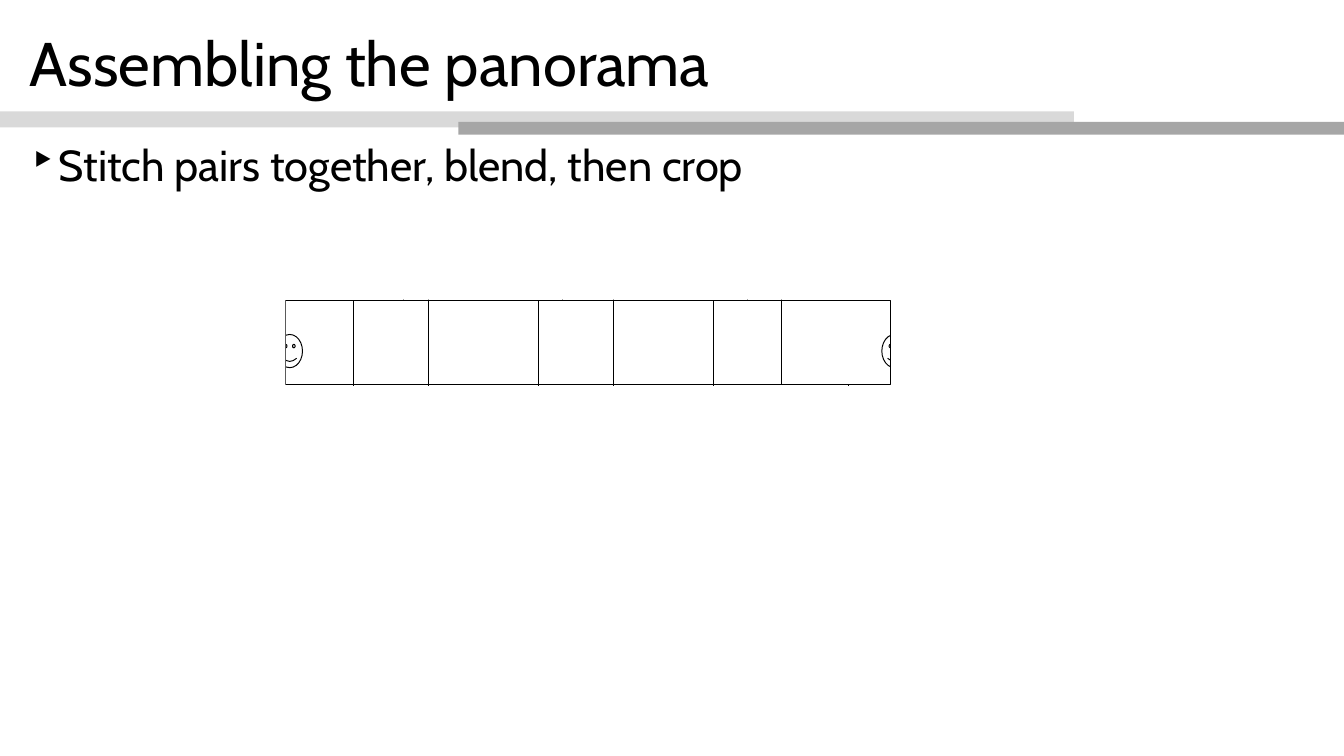
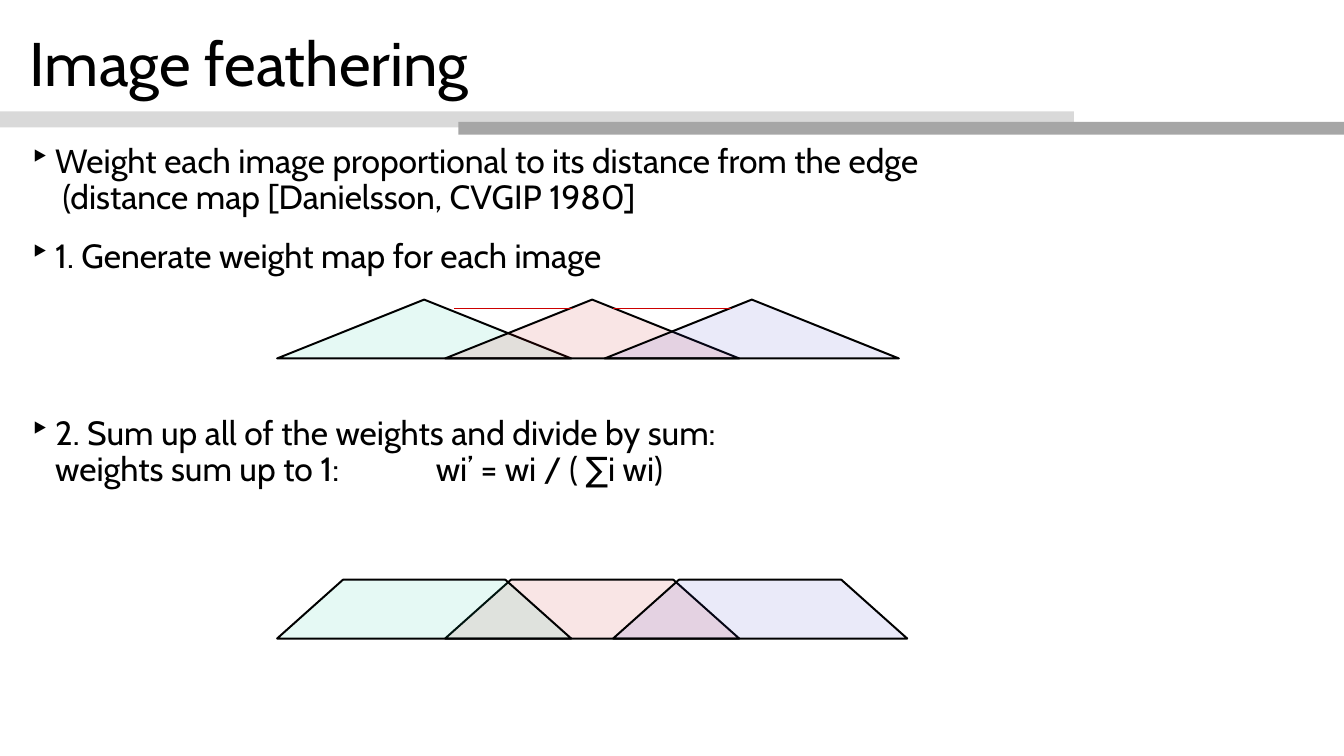
from lxml.etree import SubElement
from pptx import Presentation
from pptx.dml.color import RGBColor
from pptx.enum.shapes import MSO_CONNECTOR, MSO_SHAPE
from pptx.enum.text import MSO_ANCHOR
from pptx.oxml.ns import qn
from pptx.util import Cm, Pt

BLACK, WHITE = "000000", "FFFFFF"
GREEN, RED, BLUE = "00CC99", "CC0000", "3333CC"


def color(value):
    return RGBColor.from_string(value)


def assign(target, values):
    for name, value in values.items():
        setattr(target, name, value)


class Lecture:
    """Holds the shared style and the slide being filled."""

    font = "Cabin"
    bands = [("D9D9D9", (0, 3.99, 38.48, 0.58)),
             ("A6A6A6", (16.43, 4.37, 31.73, 0.46))]
    frame = {"word_wrap": True, "margin_left": Cm(0.18), "margin_right": Cm(0.18),
             "margin_top": Cm(0.18), "margin_bottom": Cm(0.18)}

    def __init__(self):
        self.deck = Presentation()
        assign(self.deck, {"slide_width": Cm(48.16), "slide_height": Cm(27.1)})
        self.page = None

    def new_page(self, title):
        self.page = self.deck.slides.add_slide(self.deck.slide_layouts[6])
        for fill, place in self.bands:
            self.shape(MSO_SHAPE.RECTANGLE, place, fill)
        frame = self.text_frame((0.89, 0.56, 46.3, 3.66), MSO_ANCHOR.MIDDLE)
        self.fill_para(frame.paragraphs[0], title, 62.6)

    def text_frame(self, place, anchor):
        box = self.page.shapes.add_textbox(*map(Cm, place))
        assign(box.text_frame, {**self.frame, "vertical_anchor": anchor})
        return box.text_frame

    def fill_para(self, para, text, size):
        para.text = text
        para.line_spacing = 0.9
        for span in para.runs:
            assign(span.font, {"name": self.font, "size": Pt(size)})
            span.font.color.rgb = color(BLACK)

    def bullets(self, items, size, indent, tab=None):
        """Add (text, space before in points) items as a bulleted body."""
        frame = self.text_frame((0.89, 5, 46.38, 21.54), MSO_ANCHOR.TOP)
        for index, (text, gap) in enumerate(items):
            para = frame.add_paragraph() if index else frame.paragraphs[0]
            props = para._p.get_or_add_pPr()
            props.set("marL", str(Cm(indent)))
            props.set("indent", str(-Cm(indent)))
            SubElement(props, qn("a:buChar"), char="‣")
            if tab:
                stops = SubElement(props, qn("a:tabLst"))
                SubElement(stops, qn("a:tab"), pos=str(Cm(tab)), algn="l")
            self.fill_para(para, text, size)
            para.space_before = Pt(gap)

    def shape(self, kind, place, fill=None, line=0, opacity=None):
        shape = self.page.shapes.add_shape(kind, *map(Cm, place))
        shape.shadow.inherit = False
        if fill:
            shape.fill.solid()
            shape.fill.fore_color.rgb = color(fill)
        else:
            shape.fill.background()
        if opacity:
            tint = shape._element.spPr.find(qn("a:solidFill"))[0]
            SubElement(tint, qn("a:alpha"), val=str(opacity * 1000))
        if line:
            shape.line.color.rgb = color(BLACK)
            shape.line.width = Pt(line)
        else:
            shape.line.fill.background()
        return shape

    def level_line(self, left, top, length, stroke):
        line = self.page.shapes.add_connector(
            MSO_CONNECTOR.STRAIGHT, Cm(left), Cm(top), Cm(left + length), Cm(top))
        line.line.color.rgb = color(stroke)
        line.line.width = Pt(1)
        SubElement(line._element.spPr, qn("a:effectLst"))


def panorama_page(lecture):
    lecture.new_page("Assembling the panorama")
    lecture.bullets([("Stitch pairs together, blend, then crop", 0)], 44, 1.04)

    high, low = 10.49, 10.77
    photos = [(9.63, high), (12.65, low), (15.34, high), (19.28, low),
              (21.97, high), (25.58, low), (27.99, 9.88)]
    for left, top in photos:
        lecture.shape(MSO_SHAPE.RECTANGLE, (left, top, 4.83, 3.91), WHITE, 1)
    for left in (9.93, 31.6):
        lecture.shape(MSO_SHAPE.SMILEY_FACE, (left, 11.99, 0.91, 1.19), WHITE, 1)

    right_margin = (31.9, 10.64, 1.19, 3.73)
    crop = (10.24, 10.77, 21.67, 3.02)
    other_margins = [(9.04, 10.49, 1.19, 3.91),
                     (9.32, 9.55, 23.77, 1.19),
                     (9.32, 13.84, 23.77, 1.19)]
    lecture.shape(MSO_SHAPE.RECTANGLE, right_margin, WHITE)
    lecture.shape(MSO_SHAPE.RECTANGLE, crop, line=1)
    for margin in other_margins:
        lecture.shape(MSO_SHAPE.RECTANGLE, margin, WHITE)


def feathering_page(lecture):
    lecture.new_page("Image feathering")
    lecture.bullets([
        ("Weight each image proportional to its distance from the edge\n"
         " (distance map [Danielsson, CVGIP 1980]", 0),
        ("1. Generate weight map for each image", 22.8),
        ("2. Sum up all of the weights and divide by sum:\n"
         "weights sum up to 1:\twi’ = wi / ( ∑i wi)", 142.6),
    ], 34.1, 0.91, tab=14.55)

    width, height = 10.54, 2.11
    for left, fill in ((9.93, GREEN), (15.95, RED), (21.67, BLUE)):
        lecture.shape(MSO_SHAPE.ISOSCELES_TRIANGLE,
                      (left, 10.74, width, height), fill, 2, 10)
    for left in (16.26, 21.97):
        lecture.level_line(left, 11.05, 4.22, RED)
    for left, fill in ((15.95, RED), (9.93, GREEN), (21.97, BLUE)):
        weight = lecture.shape(MSO_SHAPE.TRAPEZOID,
                               (left, 20.78, width, height), fill, 2, 10)
        weight.adjustments[0] = 1.12


def main():
    lecture = Lecture()
    panorama_page(lecture)
    feathering_page(lecture)
    lecture.deck.save("out.pptx")


if __name__ == "__main__":
    main()
